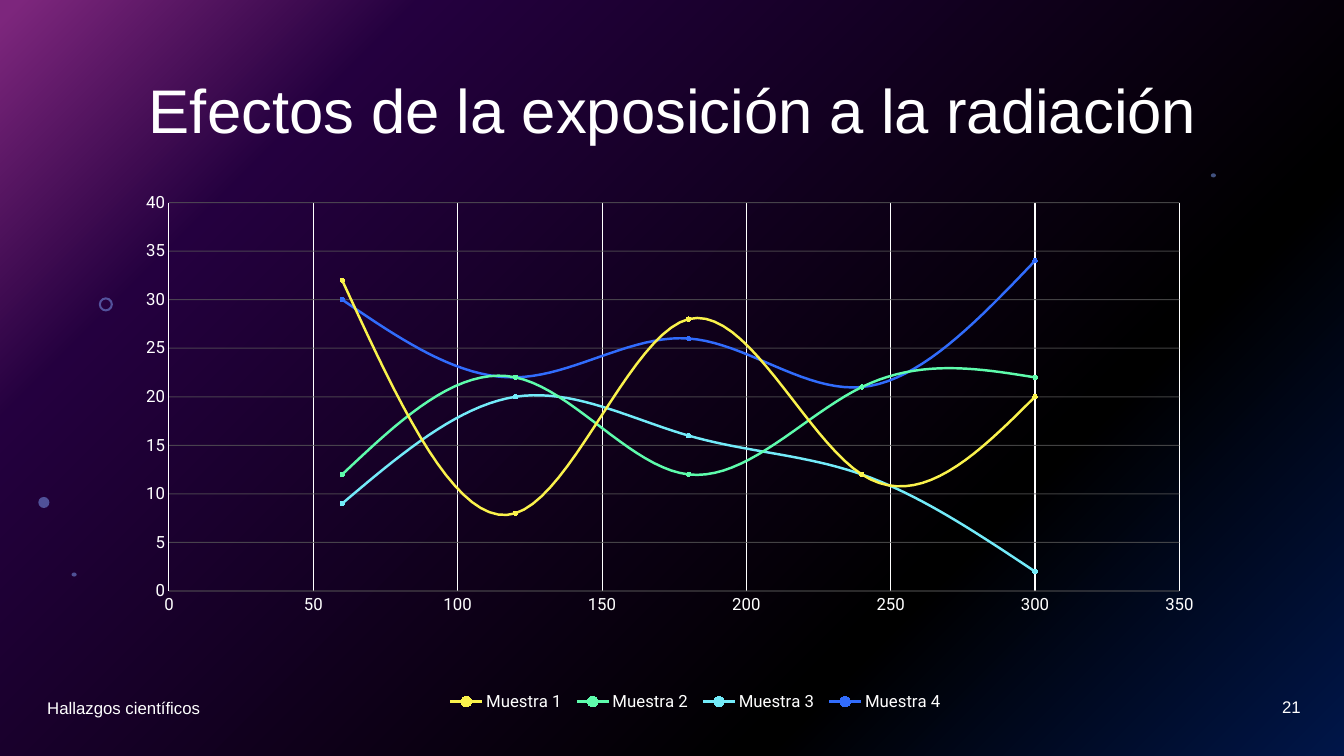
"""Build a slide with a smooth scatter chart of radiation exposure effects."""
from lxml import etree
from pptx import Presentation, util as u
from pptx.chart.data import XyChartData
from pptx.dml.color import RGBColor
from pptx.enum import chart as charts, shapes, text
from pptx.oxml import parse_xml
from pptx.oxml.ns import nsdecls, qn

THEME = {
    "text": "FFFFFF", "overlay": "000000", "bubble": "83A7FD", "grid": "595959",
    "background": [(0, "022D94"), (28, "000000"), (80, "4A027F"), (99, "FC4EFB")],
    "series": [("FAF24C", "FCF794"), ("5EFCAC", "9EFDCD"),
               ("73EBF9", "ABF3FB"), ("316CFC", "83A7FD")],
    "font": "Arial", "chart_font": "Roboto",
    "title_size": 44, "small_size": 12,
}


def paint(fill, color, opacity=100):
    """Fill with a solid colour at the given opacity in percent."""
    fill.solid()
    fill.fore_color.rgb = RGBColor.from_string(color)
    if opacity < 100:
        solid = fill._xPr.find(qn("a:solidFill"))
        etree.SubElement(solid[0], qn("a:alpha"), val=str(opacity * 1000))


def place(parent, index, **values):
    """Give a chart part a manual layout."""
    for old in parent.findall(qn("c:layout")):
        parent.remove(old)
    items = "".join(f'<c:{key} val="{value}"/>' for key, value in values.items())
    parent.insert(index, parse_xml(
        f'<c:layout {nsdecls("c")}><c:manualLayout>{items}</c:manualLayout></c:layout>'))


presentation = Presentation()
presentation.slide_width = u.Inches(13.33)
presentation.slide_height = u.Inches(7.5)
slide = presentation.slides.add_slide(presentation.slide_layouts[6])

slide.background.fill.gradient()
gradient = slide._element.find(".//" + qn("a:gradFill"))
for child in list(gradient):
    gradient.remove(child)
stops = etree.SubElement(gradient, qn("a:gsLst"))
for position, color in THEME["background"]:
    stop = etree.SubElement(stops, qn("a:gs"), pos=str(position * 1000))
    etree.SubElement(stop, qn("a:srgbClr"), val=color)
circle = etree.SubElement(gradient, qn("a:path"), path="circle")
etree.SubElement(circle, qn("a:fillToRect"), l="100000", t="100000")
etree.SubElement(gradient, qn("a:tileRect"), r="-100000", b="-100000")

KIND = shapes.MSO_SHAPE
decorations = [
    (KIND.RECTANGLE, 0, 0, 13.33, 7.5, "overlay", 50),
    (KIND.DONUT, 0.98, 2.95, 0.14, 0.14, "bubble", 49),
    (KIND.OVAL, 0.38, 4.93, 0.11, 0.11, "bubble", 49),
    (KIND.OVAL, 0.71, 5.68, 0.05, 0.04, "bubble", 49),
    (KIND.OVAL, 12.01, 1.72, 0.05, 0.04, "bubble", 49),
]
for kind, left, top, width, height, color, opacity in decorations:
    shape = slide.shapes.add_shape(
        kind, u.Inches(left), u.Inches(top), u.Inches(width), u.Inches(height))
    shape.shadow.inherit = False
    shape.line.fill.background()
    paint(shape.fill, THEME[color], opacity)
    if kind == KIND.DONUT:
        shape.adjustments[0] = 0.15

exposures = [60, 120, 180, 240, 300]
samples = {
    "Muestra 1": [32, 8, 28, 12, 20],
    "Muestra 2": [12, 22, 12, 21, 22],
    "Muestra 3": [9, 20, 16, 12, 2],
    "Muestra 4": [30, 22, 26, 21, 34],
}
chart_data = XyChartData()
for name, values in samples.items():
    sample = chart_data.add_series(name)
    for exposure, value in zip(exposures, values):
        sample.add_data_point(exposure, value)
chart = slide.shapes.add_chart(
    charts.XL_CHART_TYPE.XY_SCATTER_SMOOTH, u.Inches(0.93), u.Inches(1.84),
    u.Inches(11.48), u.Inches(5.66), chart_data).chart
chart.has_title = False
chart.has_legend = True
chart.legend.position = charts.XL_LEGEND_POSITION.TOP
chart.legend.include_in_layout = False
place(chart.legend._element, 1, xMode="edge", yMode="edge", x=0.3, y=0.88, w=0.44, h=0.05)
place(chart._chartSpace.find(".//" + qn("c:plotArea")), 0, layoutTarget="inner",
      xMode="edge", yMode="edge", x=0.065, y=0.03, w=0.873, h=0.681)

axes = [(chart.category_axis, 350, 50, "text", 100),
        (chart.value_axis, 40, 5, "grid", 75)]
for axis, maximum, step, grid_color, opacity in axes:
    axis_format = {
        "minimum_scale": 0, "maximum_scale": maximum, "major_unit": step,
        "has_major_gridlines": True,
        "major_tick_mark": charts.XL_TICK_MARK.NONE,
        "minor_tick_mark": charts.XL_TICK_MARK.NONE,
    }
    for key, value in axis_format.items():
        setattr(axis, key, value)
    grid = axis.major_gridlines.format.line
    grid.width = u.Pt(0.75)
    paint(grid.fill, THEME[grid_color], opacity)
chart.category_axis.format.line.fill.background()
paint(chart.value_axis.format.line.fill, THEME["text"])
chart.value_axis.format.line.width = u.Pt(0.75)

chart_font = {"name": THEME["chart_font"], "size": u.Pt(THEME["small_size"])}
for part in (chart, chart.legend, chart.category_axis.tick_labels, chart.value_axis.tick_labels):
    for key, value in chart_font.items():
        setattr(part.font, key, value)
    part.font.color.rgb = RGBColor.from_string(THEME["text"])

plot = chart.plots[0]
plot.vary_by_categories = False
for series, (line_color, marker_color) in zip(plot.series, THEME["series"]):
    series._element.get_or_add_smooth().val = True
    series.format.line.width = u.Pt(1.75)
    paint(series.format.line.fill, line_color)
    series.marker.style = charts.XL_MARKER_STYLE.CIRCLE
    series.marker.size = 3
    paint(series.marker.format.fill, marker_color)
    series.marker.format.line.fill.background()

ALIGN = text.PP_ALIGN
labels = [
    ("Efectos de la exposición a la radiación", 0.93, 0.4, 11.5, 1.45,
     "title_size", ALIGN.CENTER, 0.9),
    ("Hallazgos científicos", 0.37, 6.82, 4.5, 0.4, "small_size", ALIGN.LEFT, 1.0),
    ("21", 10, 6.81, 3, 0.4, "small_size", ALIGN.RIGHT, 1.0),
]
for wording, left, top, width, height, size, alignment, spacing in labels:
    frame = slide.shapes.add_textbox(
        u.Inches(left), u.Inches(top), u.Inches(width), u.Inches(height)).text_frame
    frame.word_wrap = True
    frame.vertical_anchor = text.MSO_ANCHOR.MIDDLE
    paragraph = frame.paragraphs[0]
    paragraph.alignment = alignment
    paragraph.line_spacing = spacing
    run = paragraph.add_run()
    run.text = wording
    for key, value in {"name": THEME["font"], "size": u.Pt(THEME[size])}.items():
        setattr(run.font, key, value)
    run.font.color.rgb = RGBColor.from_string(THEME["text"])

presentation.save("out.pptx")
